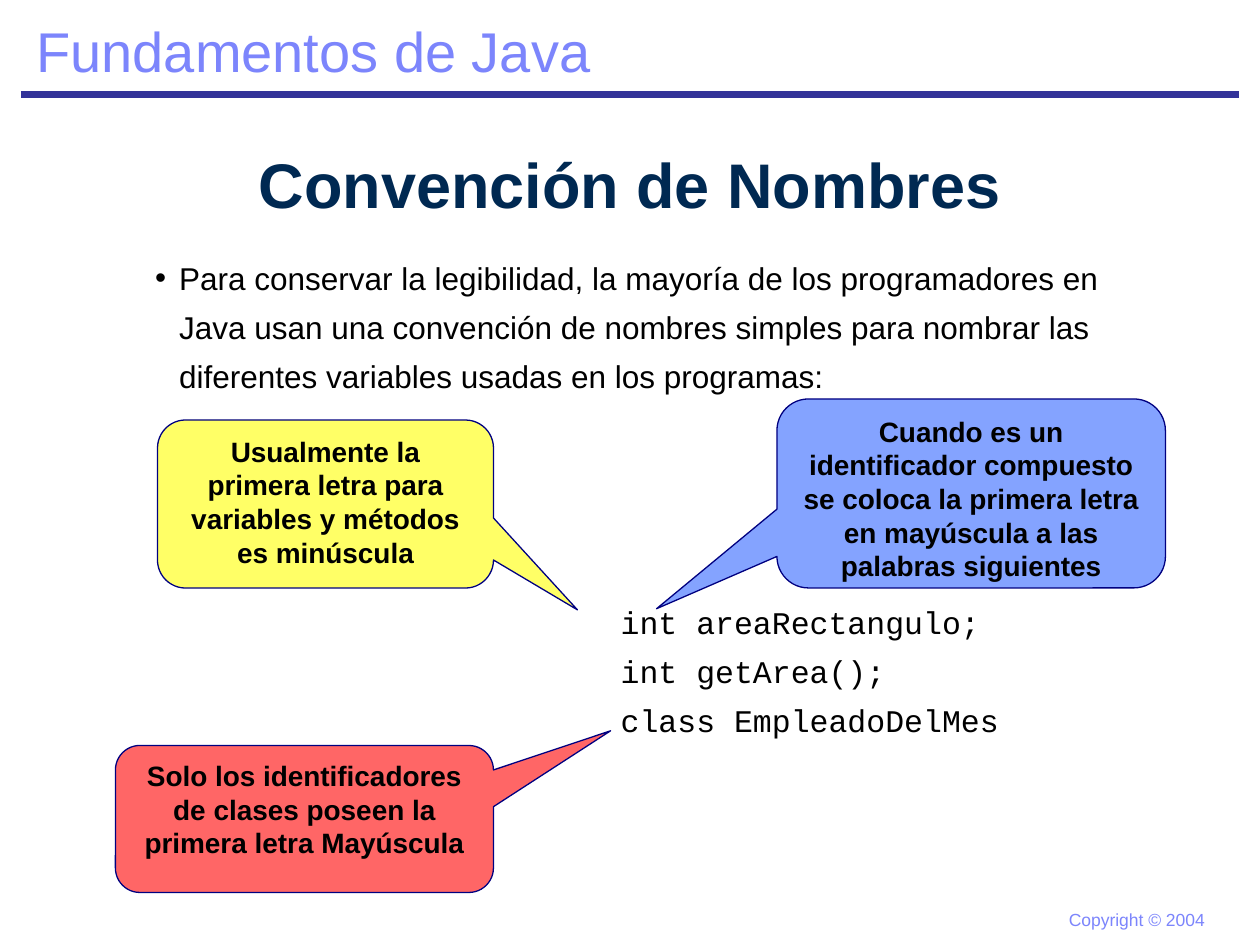
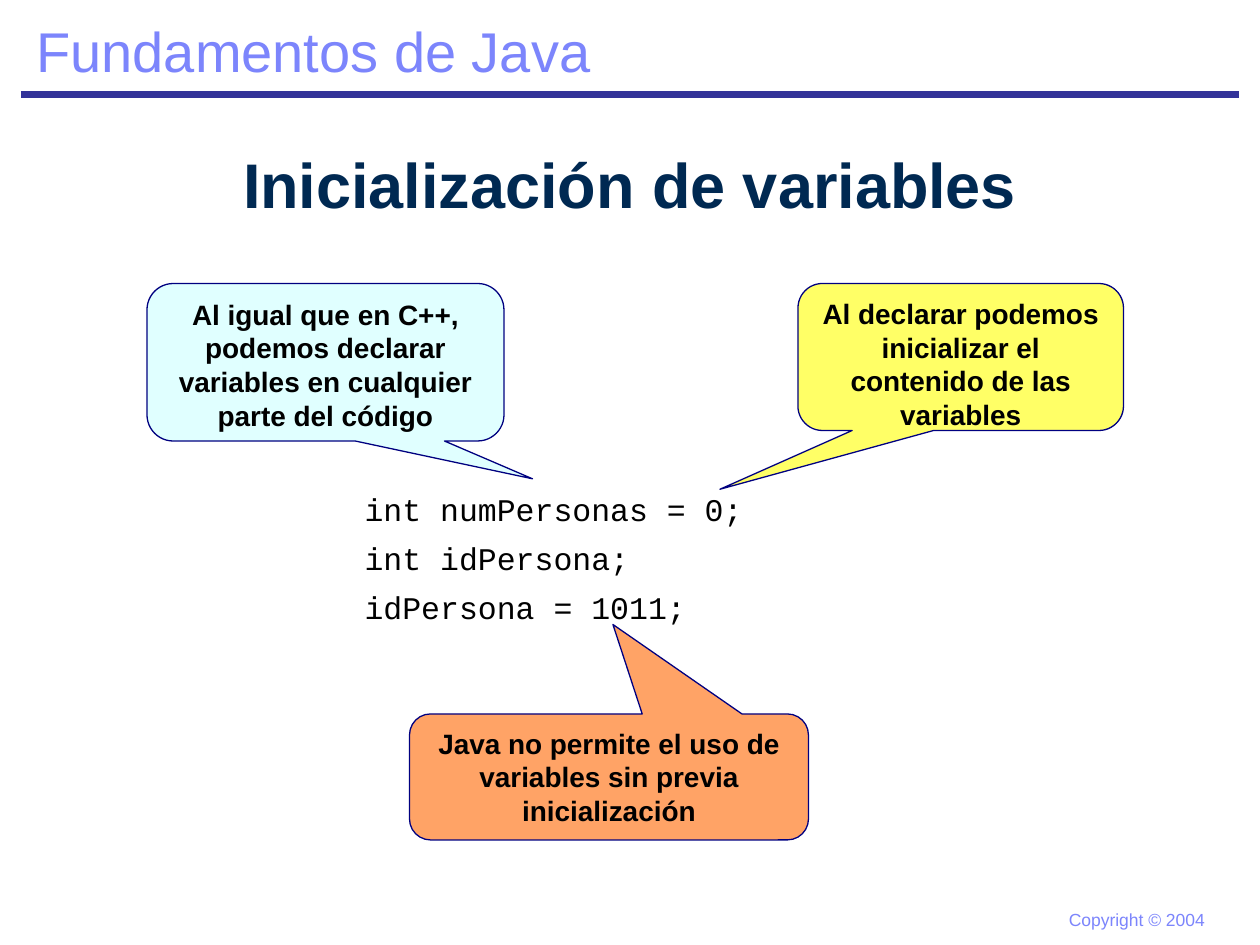
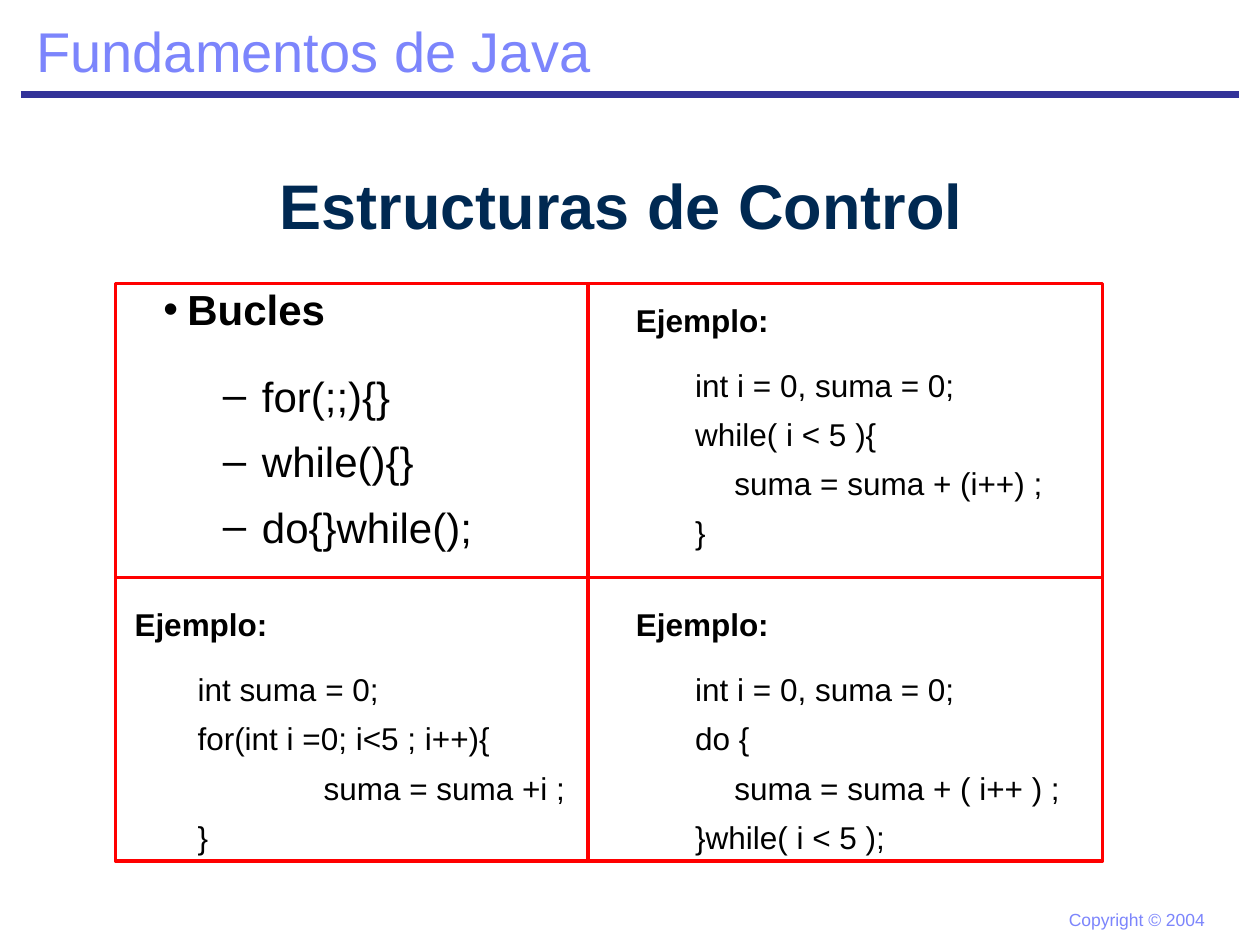
from dataclasses import dataclass

from lxml.etree import SubElement
from pptx import Presentation
from pptx.dml.color import RGBColor
from pptx.enum.shapes import MSO_CONNECTOR, MSO_SHAPE
from pptx.enum.text import MSO_ANCHOR, PP_ALIGN
from pptx.oxml.ns import qn
from pptx.util import Pt


@dataclass(frozen=True)
class Theme:
    sans: str = "Arial"
    mono: str = "Courier New"
    text: str = "000000"
    title: str = "002952"
    band_text: str = "7C85FC"
    band_line: str = "333399"
    callout_line: str = "000080"
    grid: str = "FF0000"
    yellow: str = "FFFF00"
    blue: str = "3366FF"
    red: str = "FF0000"
    cyan: str = "CCFFFF"
    orange: str = "FF6600"
    callout_opacity: int = 60
    footer_size: int = 10
    callout_size: int = 16
    body_size: int = 18
    list_size: int = 24
    header_size: int = 32
    title_size: int = 36
    body_spacing: float = 1.3


THEME = Theme()


@dataclass(frozen=True)
class Line:
    """One paragraph; margin, hang and after are in points."""
    text: str
    margin: float = 0
    hang: float = 0
    bullet: str = ""
    bold: bool = False
    after: float = 0


def points(*lengths):
    return [Pt(length) for length in lengths]


def rgb(color):
    return RGBColor.from_string(color)


def write_text(frame, lines, *, size, color=THEME.text, font=THEME.sans, bold=False,
               align=PP_ALIGN.LEFT, spacing=1.0, anchor=MSO_ANCHOR.TOP):
    """Fill a text frame with lines, each a string or a Line."""
    frame.word_wrap = True
    frame.vertical_anchor = anchor
    for index, line in enumerate(lines):
        if isinstance(line, str):
            line = Line(line)
        paragraph = frame.paragraphs[0] if index == 0 else frame.add_paragraph()
        paragraph.alignment = align
        paragraph.line_spacing = spacing
        paragraph.space_after = Pt(line.after)
        properties = paragraph._p.get_or_add_pPr()
        properties.set("marL", str(Pt(line.margin)))
        properties.set("indent", str(Pt(-line.hang)))
        if line.bullet:
            SubElement(properties, qn("a:buFont"), typeface=font)
            SubElement(properties, qn("a:buChar"), char=line.bullet)
        run = paragraph.add_run()
        run.text = line.text
        run.font.name = font
        run.font.size = Pt(size)
        run.font.bold = bold or line.bold
        run.font.color.rgb = rgb(color)


def add_text(slide, box, lines, **text_format):
    write_text(slide.shapes.add_textbox(*points(*box)).text_frame, lines, **text_format)


def add_line(slide, start, end, color, width):
    line = slide.shapes.add_connector(MSO_CONNECTOR.STRAIGHT, *points(*start, *end))
    line.line.color.rgb = rgb(color)
    line.line.width = Pt(width)
    SubElement(line._element.spPr, qn("a:effectLst"))


def add_callout(slide, box, tip, color, text):
    """Draw a translucent speech bubble; tip is relative to its centre and size."""
    callout = slide.shapes.add_shape(MSO_SHAPE.ROUNDED_RECTANGULAR_CALLOUT, *points(*box))
    callout.shadow.inherit = False
    callout.adjustments[0], callout.adjustments[1] = tip
    callout.fill.solid()
    callout.fill.fore_color.rgb = rgb(color)
    color_element = callout._element.spPr.find(qn("a:solidFill"))[0]
    SubElement(color_element, qn("a:alpha"), val=str(THEME.callout_opacity * 1000))
    callout.line.color.rgb = rgb(THEME.callout_line)
    callout.line.width = Pt(0.75)
    write_text(callout.text_frame, [text], size=THEME.callout_size, bold=True,
               align=PP_ALIGN.CENTER)


def add_code(slide, box, lines):
    add_text(slide, box, lines, size=THEME.body_size, font=THEME.mono,
             spacing=THEME.body_spacing)


def add_example(slide, box, code, heading_margin, code_margin, nested_margin):
    """Write a bold heading and code lines; lines that start with a tab are nested."""
    lines = [Line("Ejemplo:", heading_margin, bold=True, after=9)]
    for text in code:
        margin = nested_margin if text.startswith("\t") else code_margin
        lines.append(Line(text.strip(), margin))
    add_text(slide, box, lines, size=THEME.body_size, spacing=THEME.body_spacing)


def add_grid(slide, left, top, width, height, column, row):
    """Draw a frame with one vertical and one horizontal divider."""
    frame = slide.shapes.add_shape(MSO_SHAPE.RECTANGLE, *points(left, top, width, height))
    frame.shadow.inherit = False
    frame.fill.background()
    frame.line.color.rgb = rgb(THEME.grid)
    frame.line.width = Pt(2)
    add_line(slide, (column, top), (column, top + height), THEME.grid, 2)
    add_line(slide, (left, row), (left + width, row), THEME.grid, 2)


def add_titled_slide(presentation, title, title_top=78):
    slide = presentation.slides.add_slide(presentation.slide_layouts[6])
    add_line(slide, (12, 54), (708, 54), THEME.band_line, 4.5)
    add_text(slide, (603.7, 516, 100, 19.5), ["Copyright © 2004"],
             size=THEME.footer_size, color=THEME.band_text)
    add_text(slide, (13.7, 5.8, 360, 46), ["Fundamentos de Java"],
             size=THEME.header_size, color=THEME.band_text)
    add_text(slide, (0, title_top, 720, 54), [title], size=THEME.title_size,
             color=THEME.title, bold=True, align=PP_ALIGN.CENTER, anchor=MSO_ANCHOR.MIDDLE)
    return slide


def build_naming(presentation):
    slide = add_titled_slide(presentation, "Convención de Nombres")
    convention = ("Para conservar la legibilidad, la mayoría de los programadores en Java "
                  "usan una convención de nombres simples para nombrar las diferentes "
                  "variables usadas en los programas:")
    add_text(slide, (60, 138, 600, 96), [Line(convention, 35.3, 13.7, "•")],
             size=THEME.body_size, spacing=THEME.body_spacing)
    add_code(slide, (347.6, 334.6, 260, 92),
             ["int areaRectangulo;", "int getArea();", "class EmpleadoDelMes"])
    add_callout(slide, (90, 240, 192, 96), (0.75, 0.63), THEME.yellow,
                "Usualmente la primera letra para variables y métodos es minúscula")
    add_callout(slide, (444, 228, 222, 108), (-0.81, 0.61), THEME.blue,
                "Cuando es un identificador compuesto se coloca la primera letra "
                "en mayúscula a las palabras siguientes")
    add_callout(slide, (66, 426, 216, 84), (0.81, -0.6), THEME.red,
                "Solo los identificadores de clases poseen la primera letra Mayúscula")


def build_initialization(presentation):
    slide = add_titled_slide(presentation, "Inicialización de variables")
    add_code(slide, (201.2, 270, 345, 92),
             ["int numPersonas = 0;", "int idPersona;", "idPersona = 1011;"])
    add_callout(slide, (84, 162, 204, 90), (0.58, 0.74), THEME.cyan,
                "Al igual que en C++, podemos declarar variables en cualquier parte del código")
    add_callout(slide, (234, 408, 228, 72), (0.01, -1.21), THEME.orange,
                "Java no permite el uso de variables sin previa inicialización")
    add_callout(slide, (456, 162, 186, 84), (-0.74, 0.9), THEME.yellow,
                "Al declarar podemos inicializar el contenido de las variables")


def build_control(presentation):
    slide = add_titled_slide(presentation, "Estructuras de Control ", title_top=90)
    loops = [Line(text, 70.6, 22.3, "–") for text in ("for(;;){}", "while(){}", "do{}while();")]
    add_text(slide, (72, 150, 240, 174),
             [Line("Bucles", 28, 13.7, "•", bold=True, after=12), *loops],
             size=THEME.list_size, spacing=THEME.body_spacing)
    add_grid(slide, 66, 162, 564, 330, column=336, row=330)

    right_margins = (14.3, 48.2, 70.6)
    add_example(slide, (342, 162, 276, 168),
                ["int i = 0, suma = 0;", "while( i < 5 ){", "\tsuma = suma + (i++) ;", "}"],
                *right_margins)
    add_example(slide, (69.8, 336, 270, 168),
                ["int suma = 0;", "for(int i =0; i<5 ; i++){", "\tsuma = suma +i ;", "}"],
                0, 36, 108)
    add_example(slide, (342, 336, 276, 168),
                ["int i = 0, suma = 0;", "do {", "\tsuma = suma + ( i++ ) ;", "}while( i < 5 );"],
                *right_margins)


def main():
    presentation = Presentation()
    presentation.slide_width, presentation.slide_height = points(720, 540)
    build_naming(presentation)
    build_initialization(presentation)
    build_control(presentation)
    presentation.save("out.pptx")


if __name__ == "__main__":
    main()
